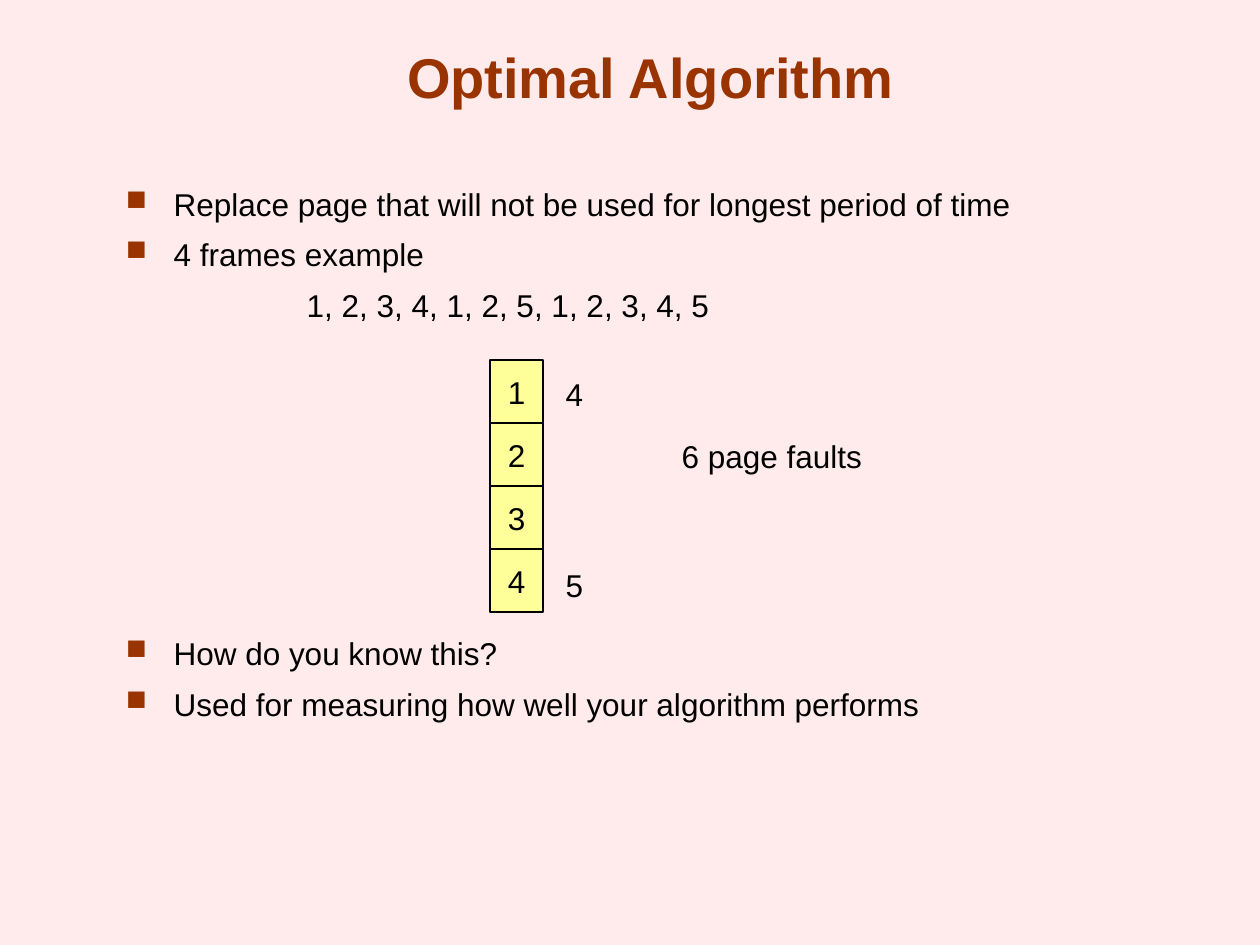
from dataclasses import dataclass

import pptx
import pptx.dml.color
import pptx.enum.shapes
import pptx.enum.text
import pptx.oxml
import pptx.oxml.ns
import pptx.util
from pptx.shapes.autoshape import Shape
from pptx.slide import Slide

Cm = pptx.util.Cm
Pt = pptx.util.Pt
Align = pptx.enum.text.PP_ALIGN
Anchor = pptx.enum.text.MSO_ANCHOR


def color(code: str) -> pptx.dml.color.RGBColor:
    return pptx.dml.color.RGBColor.from_string(code)


@dataclass(frozen=True)
class Theme:
    back: str = "FFEBEB"
    rust: str = "993300"
    ink: str = "000000"
    cell: str = "FFFF99"
    face: str = "Arial"
    head: float = 32
    text: float = 18
    gap: float = 7.25
    edge: float = 0.75


@dataclass(frozen=True)
class Box:
    """Place and size in centimetres."""
    left: float
    top: float
    width: float
    height: float

    def place(self) -> tuple:
        return Cm(self.left), Cm(self.top), Cm(self.width), Cm(self.height)


@dataclass(frozen=True)
class Line:
    """A body line; the indent is in centimetres."""
    text: str
    bullet: bool = True
    indent: float = 0.96


THEME = Theme()
HANG = 0.96

TITLE = Box(1.9, 0.64, 22.43, 1.7)
BODY = [
    (Box(2.29, 3.6, 20.42, 3.4), [
        Line("Replace page that will not be used for longest period of time"),
        Line("4 frames example"),
        Line("1, 2, 3, 4, 1, 2, 5, 1, 2, 3, 4, 5", False, 3.64),
    ]),
    (Box(2.29, 12.66, 20.42, 2.3), [
        Line("How do you know this?"),
        Line("Used for measuring how well your algorithm performs"),
    ]),
]
FRAME = Box(9.88, 7.26, 1.07, 1.27)
FRAMES = ["1", "2", "3", "4"]
LABELS = [
    ("4", Box(11.15, 7.44, 0.86, 1.02)),
    ("6 page faults", Box(13.49, 8.69, 4.14, 1.02)),
    ("5", Box(11.15, 11.28, 0.86, 1.02)),
]


def apply(target: object, values: dict) -> None:
    for name, value in values.items():
        setattr(target, name, value)


def write(para, text: str, size: float = THEME.text,
          ink: str = THEME.ink, bold: bool = False) -> None:
    run = para.add_run()
    run.text = text
    apply(run.font, {"name": THEME.face, "size": Pt(size), "bold": bold})
    run.font.color.rgb = color(ink)


def center(shape: Shape, text: str, anchor=Anchor.MIDDLE,
           wrap: bool = False, **style) -> None:
    apply(shape.text_frame, {"word_wrap": wrap, "vertical_anchor": anchor})
    para = shape.text_frame.paragraphs[0]
    para.alignment = Align.CENTER
    write(para, text, **style)


def indent(para, line: Line) -> None:
    props = para._p.get_or_add_pPr()
    props.set("marL", str(Cm(line.indent)))
    props.set("indent", str(-Cm(HANG) if line.bullet else 0))
    if not line.bullet:
        return
    space = pptx.oxml.ns.nsdecls("a")
    for part in (
        f'<a:buClr {space}><a:srgbClr val="{THEME.rust}"/></a:buClr>',
        f'<a:buSzPct {space} val="90000"/>',
        f'<a:buChar {space} char="■"/>',
    ):
        props.append(pptx.oxml.parse_xml(part))


def add_body(slide: Slide, box: Box, lines: list[Line]) -> None:
    frame = slide.shapes.add_textbox(*box.place()).text_frame
    frame.word_wrap = True
    for place, line in enumerate(lines):
        para = frame.add_paragraph() if place else frame.paragraphs[0]
        indent(para, line)
        para.space_before = Pt(THEME.gap if place else 0)
        write(para, line.text)


def add_frame(slide: Slide, box: Box, text: str) -> None:
    kind = pptx.enum.shapes.MSO_SHAPE.RECTANGLE
    shape = slide.shapes.add_shape(kind, *box.place())
    shape.shadow.inherit = False
    shape.fill.solid()
    shape.fill.fore_color.rgb = color(THEME.cell)
    shape.line.color.rgb = color(THEME.ink)
    shape.line.width = Pt(THEME.edge)
    center(shape, text)


def main() -> None:
    deck = pptx.Presentation()
    apply(deck, {"slide_width": Cm(25.4), "slide_height": Cm(19.05)})
    slide = deck.slides.add_slide(deck.slide_layouts[6])
    slide.background.fill.solid()
    slide.background.fill.fore_color.rgb = color(THEME.back)

    # Title
    center(slide.shapes.add_textbox(*TITLE.place()), "Optimal Algorithm",
           Anchor.BOTTOM, True, size=THEME.head, ink=THEME.rust, bold=True)

    # Bullets above and below the frames
    for box, lines in BODY:
        add_body(slide, box, lines)

    # Stack of memory frames
    for row, text in enumerate(FRAMES):
        top = FRAME.top + row * FRAME.height
        add_frame(slide, Box(FRAME.left, top, FRAME.width, FRAME.height), text)

    # Replaced pages and fault count
    for text, box in LABELS:
        center(slide.shapes.add_textbox(*box.place()), text)

    deck.save("out.pptx")


if __name__ == "__main__":
    main()
